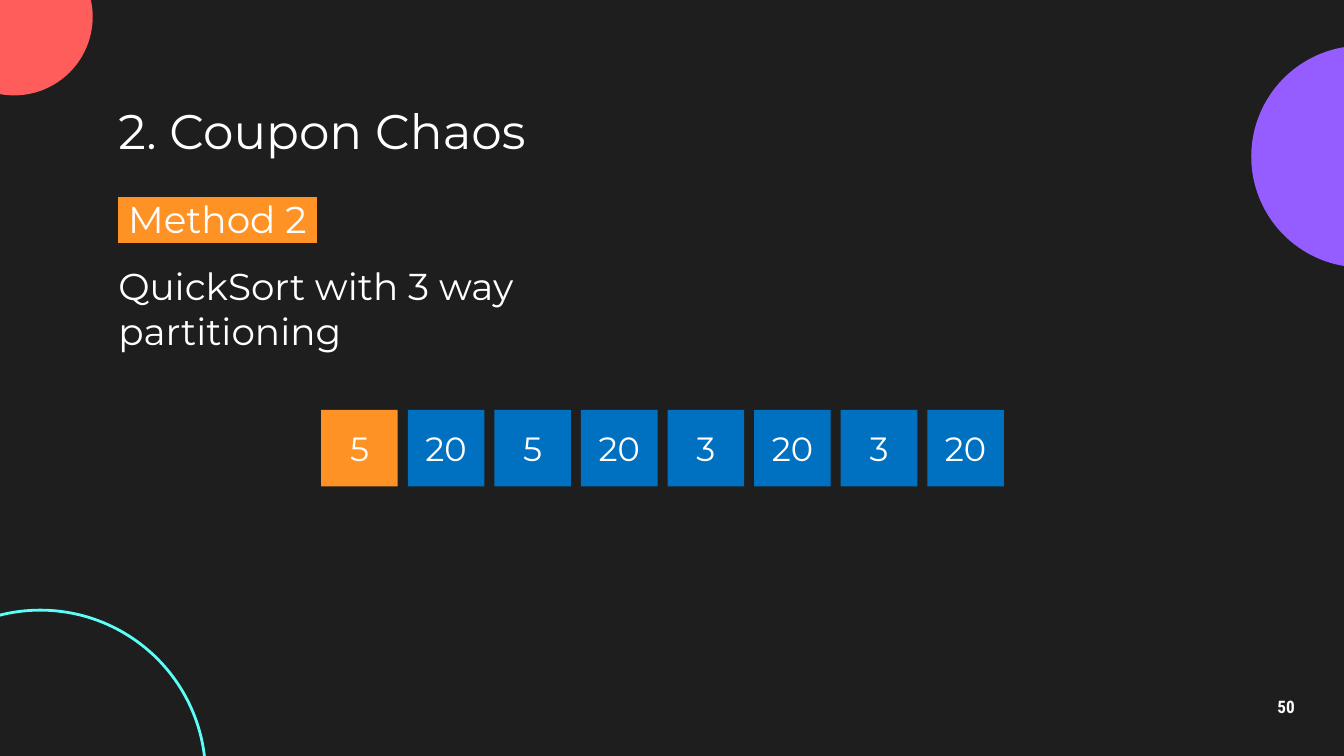
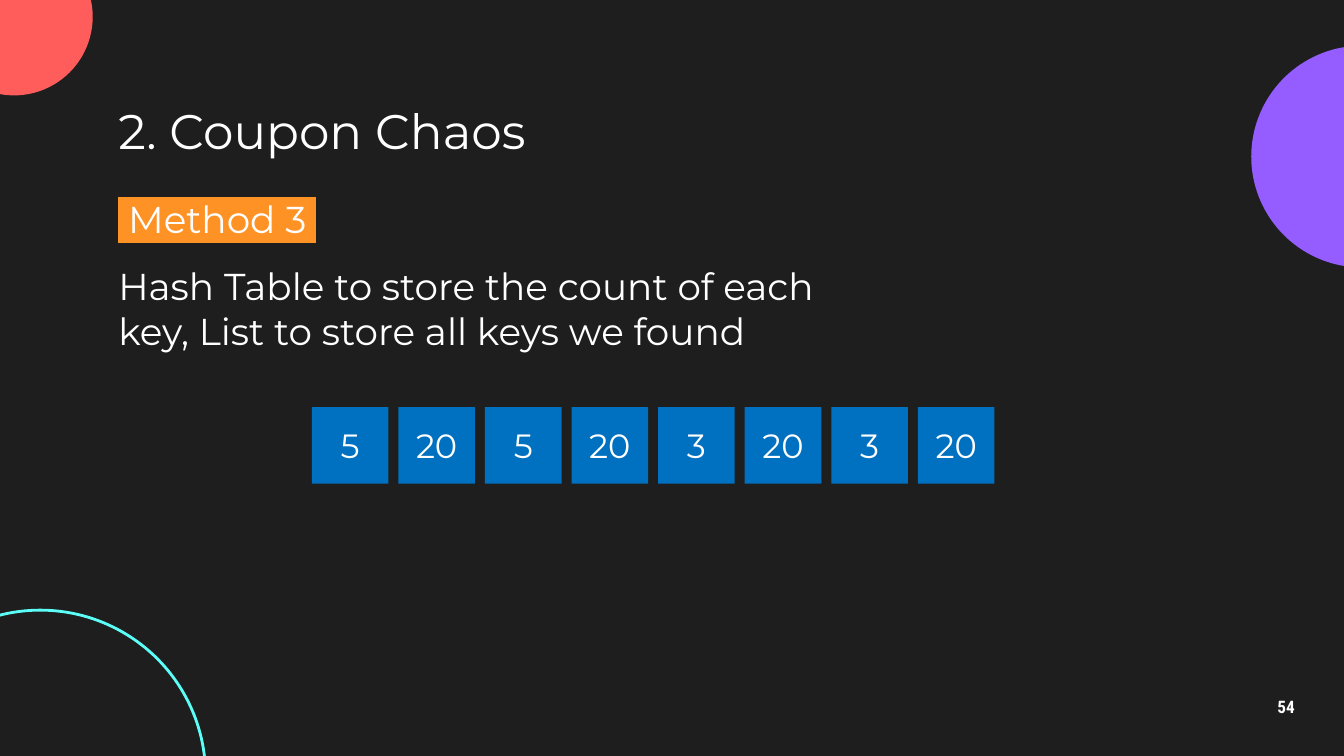
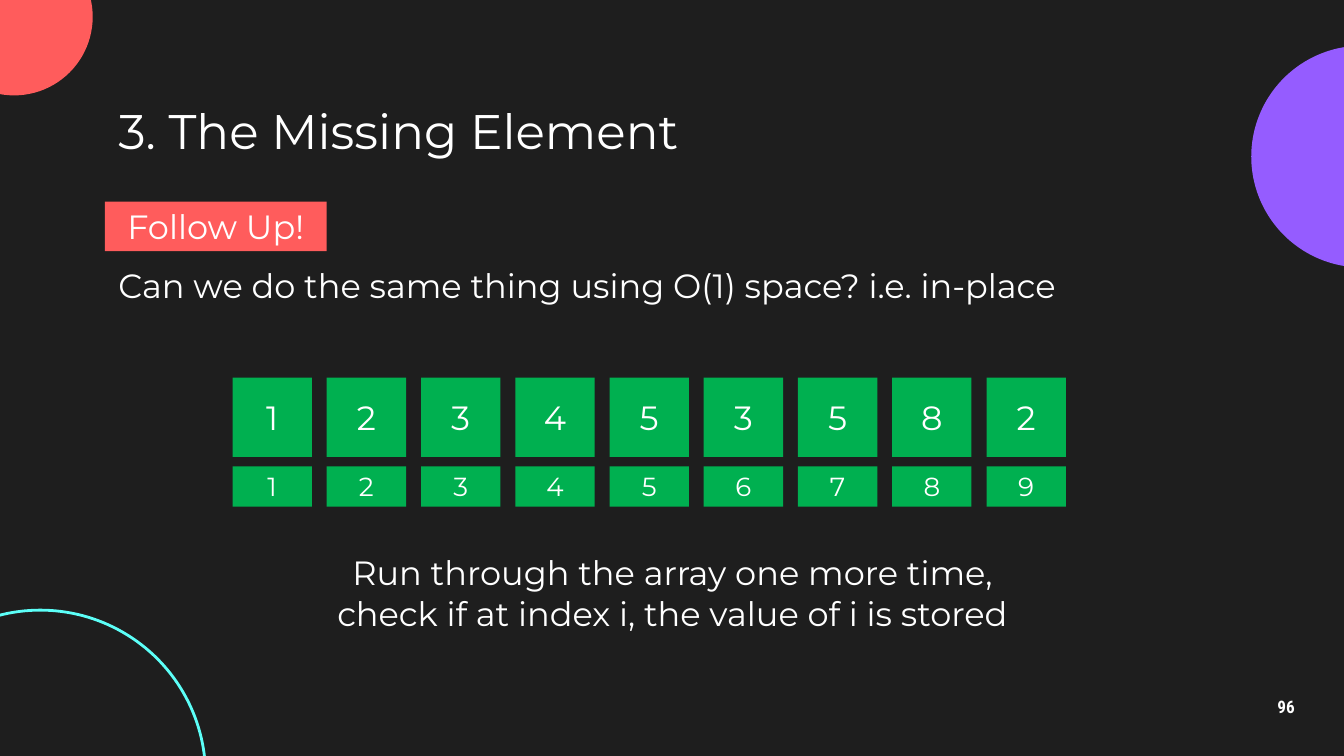
"""Build three dark algorithm slides with arrays drawn as rows of cells."""
import dataclasses

import lxml.etree
import pptx
import pptx.dml.color
import pptx.enum.shapes
import pptx.enum.text
import pptx.oxml.ns
import pptx.util

Inches = pptx.util.Inches
Pt = pptx.util.Pt
Align = pptx.enum.text.PP_ALIGN
Anchor = pptx.enum.text.MSO_ANCHOR
Shape = pptx.enum.shapes.MSO_SHAPE
rgb = pptx.dml.color.RGBColor.from_string


@dataclasses.dataclass(frozen=True)
class Theme:
    background: str = "1E1E1E"
    text: str = "FFFFFF"
    purple: str = "955CFF"
    coral: str = "FF5C5C"
    aqua: str = "5CFFF8"
    orange: str = "FF9225"
    blue: str = "0070C0"
    green: str = "00B050"
    font: str = "Montserrat"
    number_font: str = "Roboto Condensed"
    title_size: float = 26
    method_size: float = 20
    text_size: float = 18
    index_size: float = 14
    number_size: float = 9.2


theme = Theme()


def write_text(box, text, size, align=Align.LEFT, anchor=Anchor.TOP, font=theme.font, inset=0.1):
    """Fill a box with text in the shared style."""
    frame = box.text_frame
    frame.text = text
    frame.word_wrap = True
    frame.auto_size = pptx.enum.text.MSO_AUTO_SIZE.NONE
    frame.vertical_anchor = anchor
    frame.margin_left = frame.margin_right = Inches(inset)
    frame.margin_top = frame.margin_bottom = Inches(inset)
    for para in frame.paragraphs:
        para.alignment = align
        para.space_before = Pt(0)
        for span in para.runs:
            span.font.name = font
            span.font.size = Pt(size)
            span.font.color.rgb = rgb(theme.text)


def add_filled(page, kind, left, top, width, height, color):
    """Add a flat shape without outline or shadow."""
    shape = page.shapes.add_shape(kind, Inches(left), Inches(top), Inches(width), Inches(height))
    shape.shadow.inherit = False
    shape.fill.solid()
    shape.fill.fore_color.rgb = rgb(color)
    shape.line.fill.background()
    return shape


deck = pptx.Presentation()
deck.slide_width = Inches(10)
deck.slide_height = Inches(10 * 9 / 16)
layout = deck.slide_layouts[1]
layout.background.fill.solid()
layout.background.fill.fore_color.rgb = rgb(theme.background)

coupons = ["5", "20", "5", "20", "3", "20", "3", "20"]
contents = [
    ("50", "2. Coupon Chaos", " Method 2 \nQuickSort with 3 way partitioning", 1.36, 3.75),
    ("54", "2. Coupon Chaos",
     " Method 3 \nHash Table to store the count of each key, List to store all keys we found", 1.36, 5.83),
    ("96", "3. The Missing Element", "Can we do the same thing using O(1) space? i.e. in-place", 1.87, 7.54),
]

pages = []
for number, title, body_text, body_top, body_width in contents:
    page = deck.slides.add_slide(layout)
    pages.append(page)

    heading = page.shapes.title
    heading.left, heading.top = Inches(0.78), Inches(0.71)
    heading.width, heading.height = Inches(8.44), Inches(0.51)
    write_text(heading, title, theme.title_size, anchor=Anchor.MIDDLE)

    body = page.placeholders[1]
    body.left, body.top = Inches(0.78), Inches(body_top)
    body.width, body.height = Inches(body_width), Inches(0.51)
    has_method = "\n" in body_text
    write_text(body, body_text, theme.method_size if has_method else theme.text_size)
    for para in body.text_frame.paragraphs:
        properties = para._p.get_or_add_pPr()
        properties.set("marL", "0")
        properties.set("indent", "0")
        lxml.etree.SubElement(properties, pptx.oxml.ns.qn("a:buNone"))
    if has_method:
        method, description = body.text_frame.paragraphs
        description.space_before = Pt(12)
        fill = method.runs[0].font._element.find(pptx.oxml.ns.qn("a:solidFill"))
        highlight = lxml.etree.Element(pptx.oxml.ns.qn("a:highlight"))
        lxml.etree.SubElement(highlight, pptx.oxml.ns.qn("a:srgbClr"), val=theme.orange)
        fill.addnext(highlight)

    number_box = page.shapes.add_textbox(Inches(9.27), Inches(5.1), Inches(0.6), Inches(0.34))
    write_text(number_box, number, theme.number_size, Align.CENTER, Anchor.MIDDLE, theme.number_font)
    number_para = number_box.text_frame.paragraphs[0]
    number_para.line_spacing = 0.9
    number_para.runs[0].font.bold = True

circles = [
    (9.31, 0.34, 1.65, theme.purple),
    (-0.48, -0.46, 1.17, theme.coral),
    (-0.93, 4.54, 2.46, None),
]
for order, (left, top, size, color) in enumerate(circles):
    circle = add_filled(pages[0], Shape.OVAL, left, top, size, size, color or theme.background)
    if color is None:
        circle.fill.background()
        circle.line.color.rgb = rgb(theme.aqua)
        circle.line.width = Pt(1.5)
    circle.element.nvSpPr.cNvPr.set("id", str(20 + order))
    layout.shapes.element.insert(2 + order, circle.element)

coupon_page, hash_page, missing_page = pages

tag = add_filled(missing_page, Shape.RECTANGLE, 0.78, 1.5, 1.65, 0.37, theme.coral)
write_text(tag, "Follow Up!", theme.text_size, Align.CENTER, Anchor.MIDDLE)

rows = [
    (coupon_page, coupons, 2.39, 6.9, 3.05, 0.57, 0.57, theme.blue, theme.text_size),
    (hash_page, coupons, 2.32, 6.83, 3.03, 0.57, 0.57, theme.blue, theme.text_size),
    (missing_page, "123453582", 1.73, 7.34, 2.81, 0.59, 0.59, theme.green, theme.text_size),
    (missing_page, "123456789", 1.73, 7.34, 3.47, 0.59, 0.3, theme.green, theme.index_size),
]
for page, values, first, last, top, width, height, color, size in rows:
    pitch = (last - first) / (len(values) - 1)
    for position, value in enumerate(values):
        is_pivot = page is coupon_page and position == 0
        cell = add_filled(page, Shape.RECTANGLE, first + position * pitch, top, width, height,
                          theme.orange if is_pivot else color)
        write_text(cell, value, size, Align.CENTER, Anchor.MIDDLE, inset=0.05)

conclusion = missing_page.shapes.add_textbox(Inches(2.12), Inches(4.01), Inches(5.77), Inches(0.51))
write_text(conclusion, "Run through the array one more time, check if at index i, the value of i is stored",
           theme.text_size, Align.CENTER)

deck.save("out.pptx")
